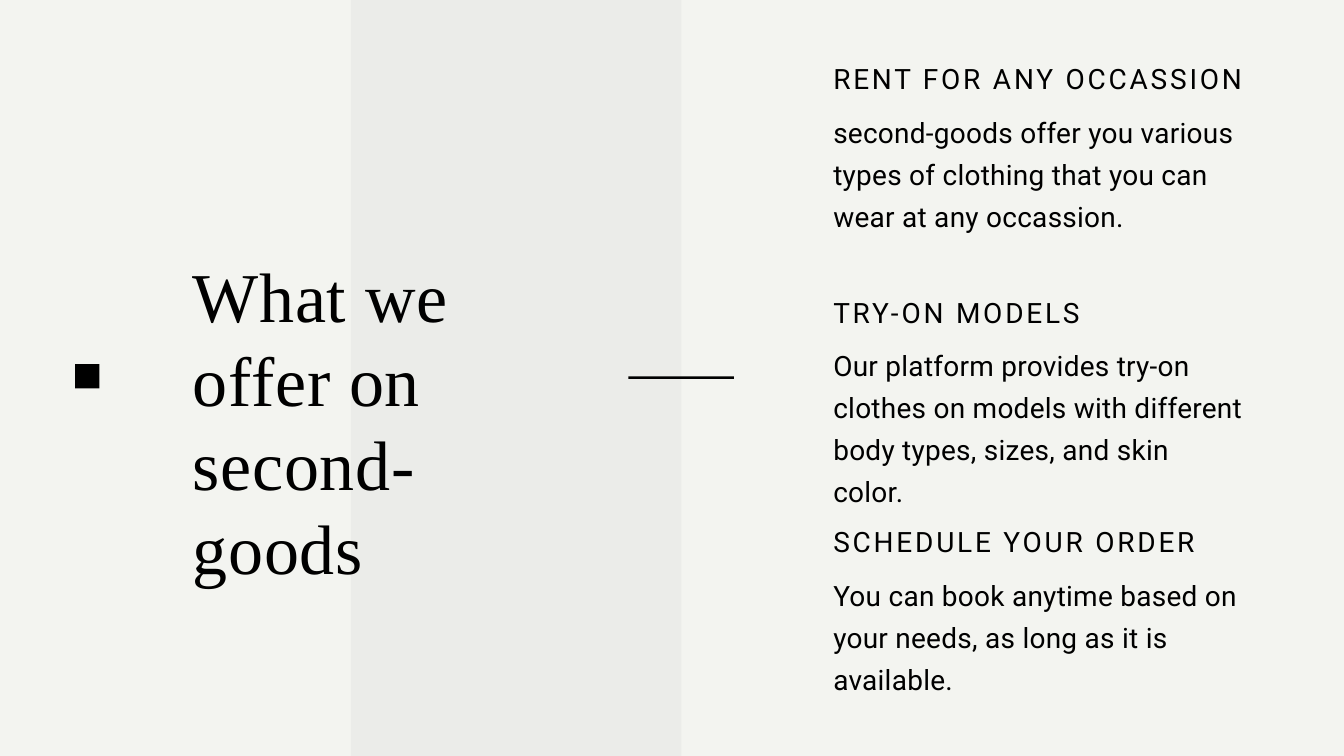
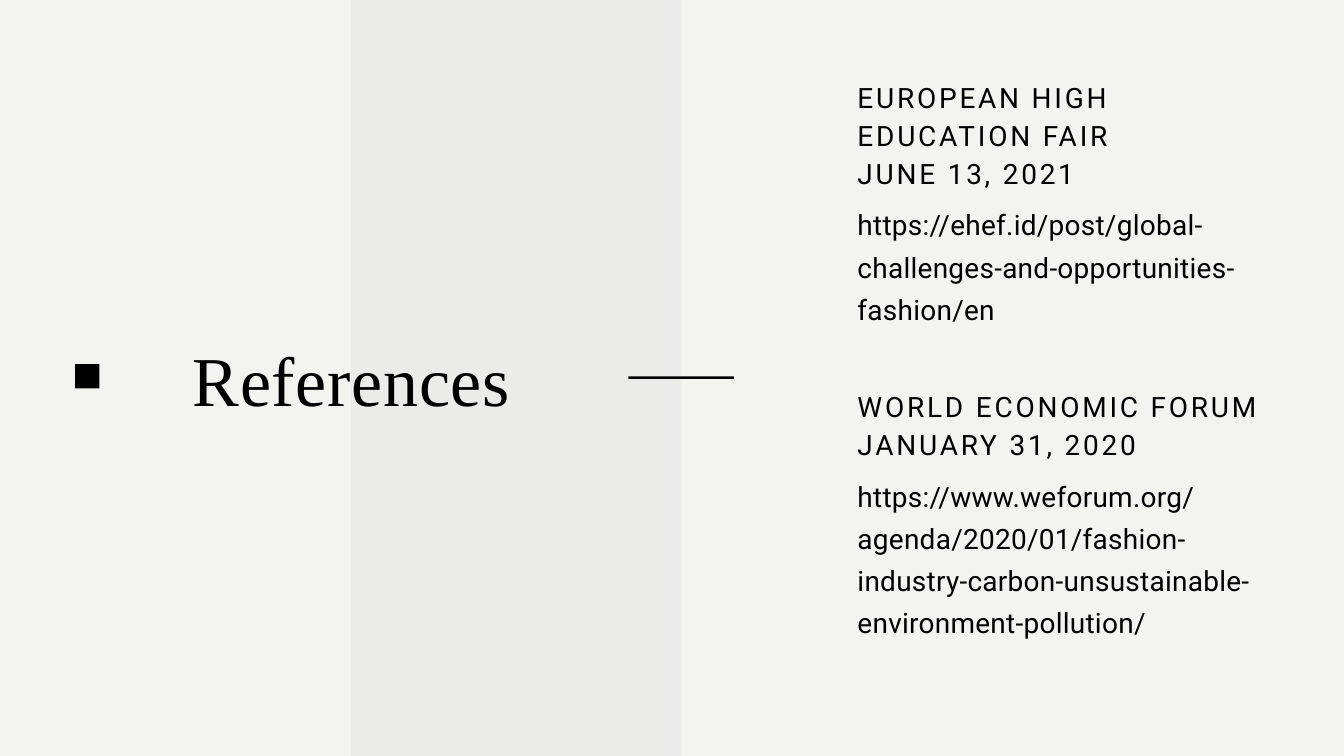
from dataclasses import dataclass

from lxml.etree import SubElement
from pptx import Presentation
from pptx.dml.color import RGBColor
from pptx.enum.shapes import MSO_SHAPE
from pptx.enum.text import MSO_ANCHOR, MSO_AUTO_SIZE, PP_ALIGN
from pptx.oxml.ns import qn
from pptx.util import Pt

PX = 9144  # EMU in one px, 100 px to the inch
PAGE_SIZE = (2000, 1125)


@dataclass(frozen=True)
class TextStyle:
    face: str
    size: int
    leading: float
    tracking: float


class Theme:
    paper = RGBColor.from_string("F3F4F0")
    band = RGBColor.from_string("A7ADAD")
    ink = RGBColor.from_string("000000")
    band_opacity = 10
    title = TextStyle("Times New Roman", 75, 90, 0.8)
    heading = TextStyle("Roboto", 30, 40.5, 3)
    body = TextStyle("Roboto", 30, 45, 0.3)


# Each section: top, heading paragraphs, heading lines, body text
PAGES = [
    {
        "title": "What we offer on second-goods",
        "title_lines": 3,
        "column_left": 1240,
        "body_lines": 3,
        "sections": [
            (86, ["RENT FOR ANY OCCASSION"], 1,
             "second-goods offer you various types of clothing that you can "
             "wear at any occassion."),
            (433, ["TRY-ON MODELS"], 1,
             "Our platform provides try-on clothes on models with different "
             "body types, sizes, and skin color."),
            (775, ["SCHEDULE YOUR ORDER"], 1,
             "You can book anytime based on your needs, as long as it is "
             "available."),
        ],
    },
    {
        "title": "References",
        "title_lines": 1,
        "column_left": 1276,
        "body_lines": 5,
        "sections": [
            (114, ["EUROPEAN HIGH EDUCATION FAIR", "JUNE 13, 2021"], 3,
             "https://ehef.id/post/global-challenges-and-opportunities-"
             "fashion/en"),
            (573, ["WORLD ECONOMIC FORUM", "JANUARY 31, 2020"], 2,
             "https://www.weforum.org/agenda/2020/01/fashion-industry-carbon-"
             "unsustainable-environment-pollution/"),
        ],
    },
]

BAND = (522, 0, 492, 1125)
RULE = (935, 560, 157, 4)
MARKER = (112, 542, 36, 36)
TITLE_LEFT, TITLE_WIDTH, TITLE_LINE = 287, 581, 125
COLUMN_WIDTH = 612
HEADING_LINE, BODY_LINE, HEADING_GAP = 55, 61, 18


def set_values(target, values):
    for name, value in values.items():
        setattr(target, name, value)


def place(shape, box):
    set_values(shape, dict(zip(("left", "top", "width", "height"),
                               (length * PX for length in box))))


def add_block(page, box, color, opacity=100):
    block = page.shapes.add_shape(MSO_SHAPE.RECTANGLE, 0, 0, 0, 0)
    place(block, box)
    block.shadow.inherit = False
    block.line.fill.background()
    block.fill.solid()
    block.fill.fore_color.rgb = color
    if opacity < 100:
        fill_color = block.element.spPr.find(qn("a:solidFill"))[0]
        SubElement(fill_color, qn("a:alpha"), val=str(opacity * 1000))
    return block


def write(shape, lines, style):
    frame = shape.text_frame
    frame.text = "\n".join(lines)
    set_values(frame, {
        "margin_left": 0, "margin_top": 0, "margin_right": 0,
        "margin_bottom": 0, "word_wrap": True,
        "vertical_anchor": MSO_ANCHOR.TOP,
        "auto_size": MSO_AUTO_SIZE.SHAPE_TO_FIT_TEXT,
    })
    for para in frame.paragraphs:
        set_values(para, {"alignment": PP_ALIGN.LEFT,
                          "line_spacing": Pt(style.leading)})
        for span in para.runs:
            set_values(span.font, {"name": style.face, "size": Pt(style.size)})
            span.font.color.rgb = Theme.ink
            span._r.get_or_add_rPr().set("spc", str(round(style.tracking * 100)))


def add_text(group, box, lines, style):
    text_box = group.shapes.add_textbox(*(length * PX for length in box))
    write(text_box, lines, style)


def add_section(page, left, body_lines, section):
    top, heading, heading_lines, body = section
    heading_height = heading_lines * HEADING_LINE
    body_top = top + heading_height + HEADING_GAP
    group = page.shapes.add_group_shape()
    add_text(group, (left, top, COLUMN_WIDTH, heading_height),
             heading, Theme.heading)
    add_text(group, (left, body_top, COLUMN_WIDTH, body_lines * BODY_LINE),
             [body], Theme.body)


def add_page(deck, content):
    page = deck.slides.add_slide(deck.slide_layouts.get_by_name("Title Only"))
    band = add_block(page, BAND, Theme.band, Theme.band_opacity)

    title = page.shapes.title
    title_height = content["title_lines"] * TITLE_LINE
    title_top = (PAGE_SIZE[1] - title_height) // 2
    place(title, (TITLE_LEFT, title_top, TITLE_WIDTH, title_height))
    write(title, [content["title"]], Theme.title)
    band.element.addnext(title.element)  # the title lies over the band

    add_block(page, RULE, Theme.ink)
    for section in content["sections"]:
        add_section(page, content["column_left"], content["body_lines"], section)
    add_block(page, MARKER, Theme.ink)


def main():
    deck = Presentation()
    deck.slide_width, deck.slide_height = (length * PX for length in PAGE_SIZE)
    backdrop = deck.slide_master.background.fill
    backdrop.solid()
    backdrop.fore_color.rgb = Theme.paper
    for content in PAGES:
        add_page(deck, content)
    deck.save("out.pptx")


if __name__ == "__main__":
    main()
